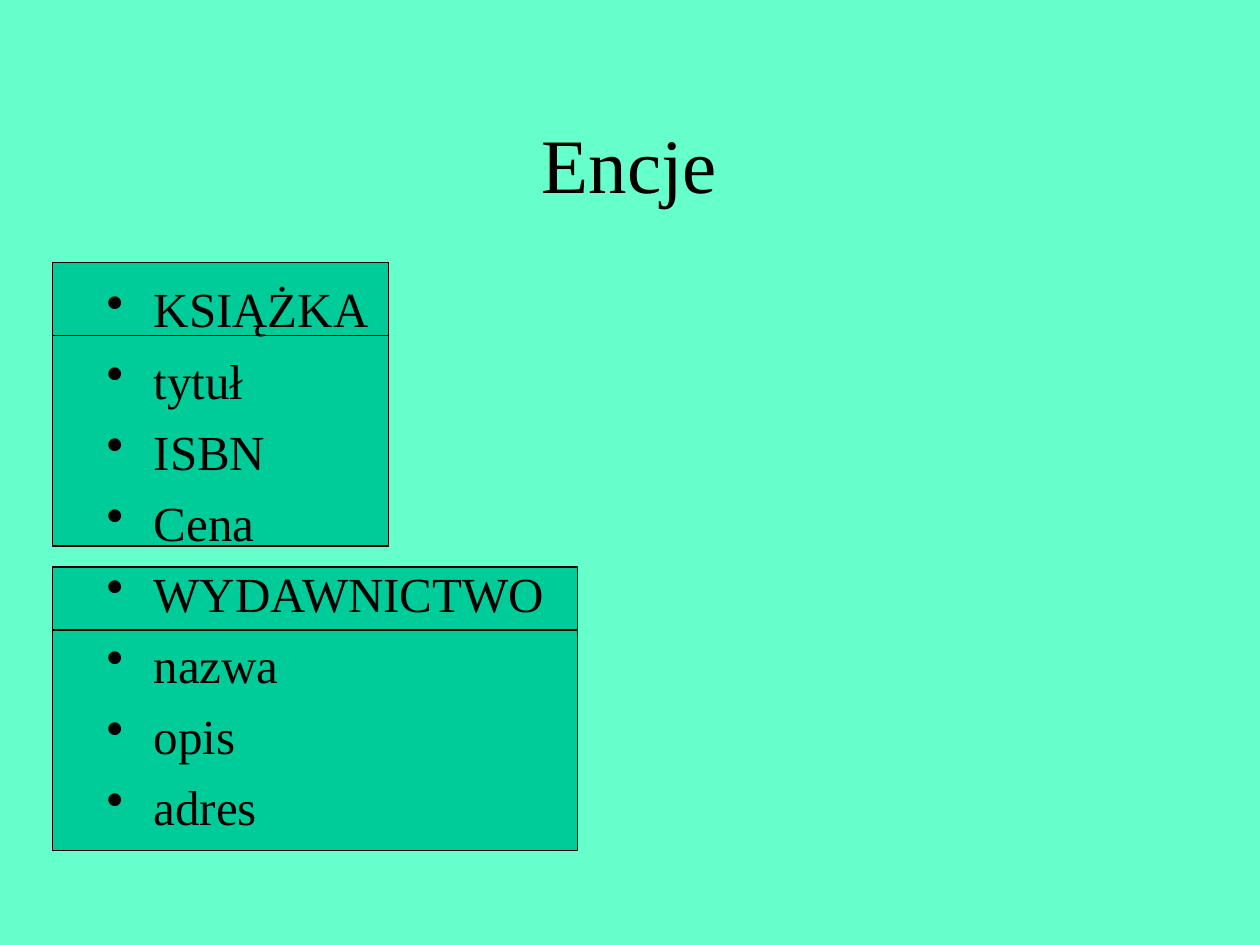
from lxml.etree import SubElement
from pptx import Presentation
from pptx.dml.color import RGBColor
from pptx.enum.shapes import MSO_CONNECTOR, MSO_SHAPE
from pptx.enum.text import MSO_ANCHOR, PP_ALIGN
from pptx.oxml.ns import qn
from pptx.util import Cm, Pt

TITLE = "Encje"
ENTITIES = [
    {"name": "KSIĄŻKA", "fields": ["tytuł", "ISBN", "Cena"],
     "top": 5.29, "width": 6.77, "header": 1.48},
    {"name": "WYDAWNICTWO", "fields": ["nazwa", "opis", "adres"],
     "top": 11.43, "width": 10.58, "header": 1.27},
]

MINT = RGBColor(0x66, 0xFF, 0xCC)
GREEN = RGBColor(0x00, 0xCC, 0x99)
BLACK = RGBColor(0x00, 0x00, 0x00)
FONT = "Times New Roman"
ENTITY_LEFT, ENTITY_HEIGHT = 1.06, 5.72
TEXT_LEFT, TEXT_WIDTH = 1.9, 21.59
INDENT = Cm(0.95)


def style_line(line):
    line.color.rgb = BLACK
    line.width = Pt(0.75)


def add_entity(page, entity):
    left, top, width = Cm(ENTITY_LEFT), Cm(entity["top"]), Cm(entity["width"])
    box = page.shapes.add_shape(MSO_SHAPE.RECTANGLE, left, top, width, Cm(ENTITY_HEIGHT))
    box.shadow.inherit = False
    box.fill.solid()
    box.fill.fore_color.rgb = GREEN
    style_line(box.line)
    divider_top = top + Cm(entity["header"])
    divider = page.shapes.add_connector(
        MSO_CONNECTOR.STRAIGHT, left, divider_top, left + width, divider_top)
    style_line(divider.line)
    SubElement(divider._element.spPr, qn("a:effectLst"))


def add_text_frame(page, top, height, anchor):
    box = page.shapes.add_textbox(Cm(TEXT_LEFT), Cm(top), Cm(TEXT_WIDTH), Cm(height))
    frame = box.text_frame
    frame.word_wrap = True
    frame.vertical_anchor = anchor
    return frame


def set_font(paragraph, size):
    paragraph.font.name = FONT
    paragraph.font.size = Pt(size)
    paragraph.font.color.rgb = BLACK


def add_bullet(paragraph):
    properties = paragraph._p.get_or_add_pPr()
    properties.set("marL", str(INDENT))
    properties.set("indent", str(-INDENT))
    SubElement(properties, qn("a:buChar")).set("char", "•")


deck = Presentation()
deck.slide_width, deck.slide_height = Cm(25.4), Cm(19.05)
page = deck.slides.add_slide(deck.slide_layouts[6])
page.background.fill.solid()
page.background.fill.fore_color.rgb = MINT

for entity in ENTITIES:
    add_entity(page, entity)

title = add_text_frame(page, 1.69, 3.18, MSO_ANCHOR.MIDDLE).paragraphs[0]
title.text = TITLE
title.alignment = PP_ALIGN.CENTER
set_font(title, 44)

body = add_text_frame(page, 5.5, 11.43, MSO_ANCHOR.TOP)
items = [item for entity in ENTITIES for item in (entity["name"], *entity["fields"])]
for index, item in enumerate(items):
    paragraph = body.add_paragraph() if index else body.paragraphs[0]
    paragraph.text = item
    add_bullet(paragraph)
    if index:
        paragraph.space_before = Pt(7)
    set_font(paragraph, 28)

deck.save("out.pptx")
